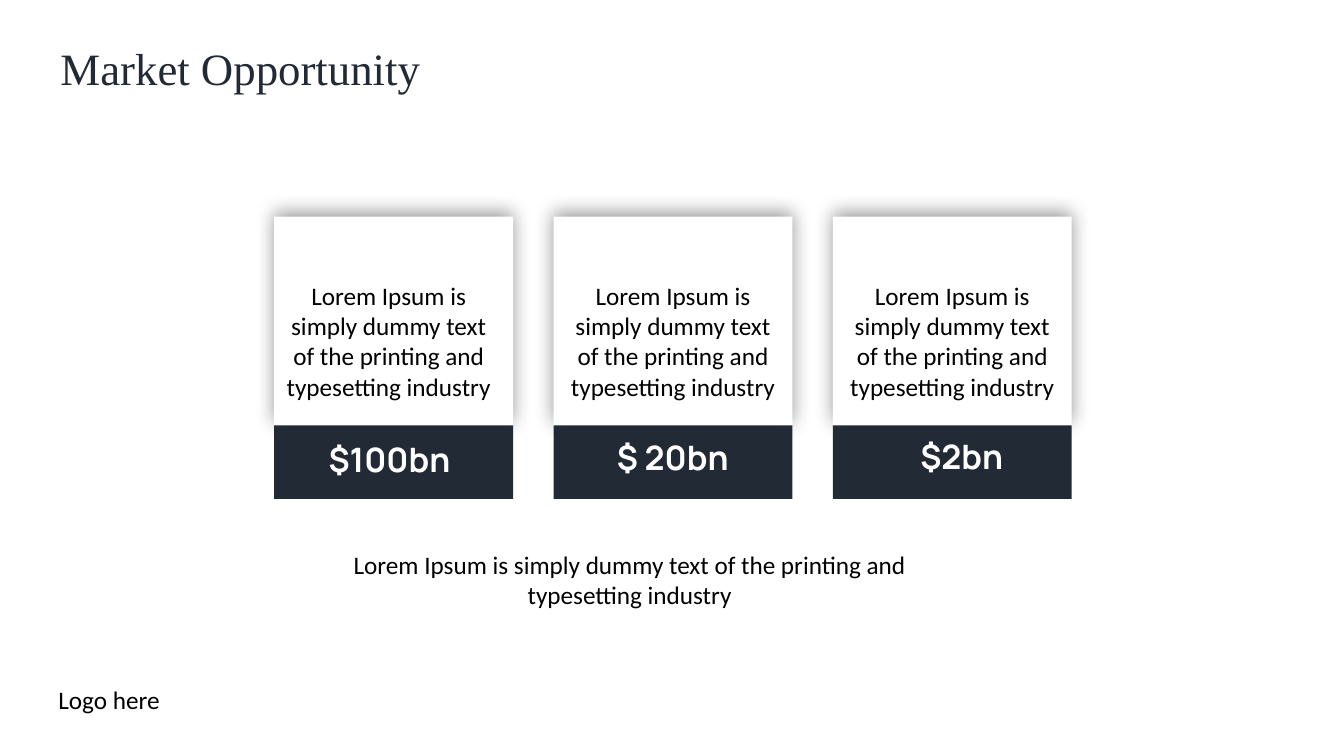
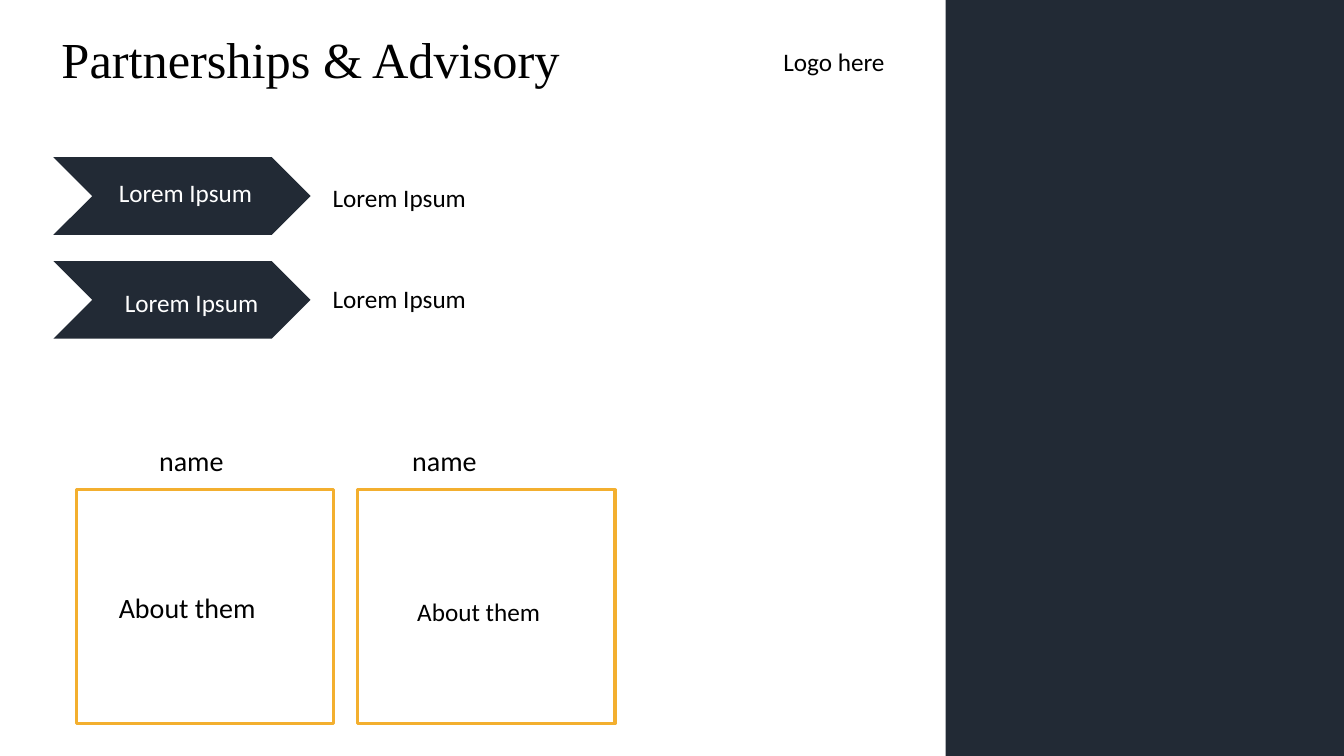
from dataclasses import dataclass

from lxml import etree
from pptx import Presentation
from pptx.dml.color import RGBColor
from pptx.enum import shapes, text
from pptx.oxml import ns
from pptx.util import Inches, Pt

RECT = shapes.MSO_SHAPE.RECTANGLE
CHEVRON = shapes.MSO_SHAPE.CHEVRON
CENTER = text.PP_ALIGN.CENTER


@dataclass(frozen=True)
class Theme:
    navy: str = "222A35"
    gold: str = "F3AF2F"
    white: str = "FFFFFF"
    black: str = "000000"
    title_font: str = "Times New Roman"
    body_font: str = "Calibri"
    figure_font: str = "Manrope"
    body: int = 18
    label: int = 20
    figure: int = 24
    title: int = 32
    big_title: int = 36
    frame: float = 2.25


class Builder:
    """Holds the style, the deck and the current page."""

    def __init__(self, theme):
        self.theme = theme
        self.deck = Presentation()
        self.deck.slide_width = Inches(13.33)
        self.deck.slide_height = Inches(7.5)
        self.page = None

    def style(self, para, size, color, name, bold=False):
        font = para.font
        font.size, font.name, font.bold = Pt(size), name, bold
        font.color.rgb = RGBColor.from_string(color)

    def new_page(self, title, left, top, width, height, size, color):
        self.page = self.deck.slides.add_slide(self.deck.slide_layouts[5])
        box = self.page.shapes.title
        box.left, box.top = Inches(left), Inches(top)
        box.width, box.height = Inches(width), Inches(height)
        frame = box.text_frame
        frame.text = title
        frame.word_wrap = True
        frame.auto_size = text.MSO_AUTO_SIZE.NONE
        frame.vertical_anchor = text.MSO_ANCHOR.TOP
        para = frame.paragraphs[0]
        para.alignment = text.PP_ALIGN.LEFT
        para.line_spacing = 0.9
        self.style(para, size, color, self.theme.title_font)

    def shape(self, kind, left, top, width, height, fill=None, line=None):
        shape = self.page.shapes.add_shape(
            kind, Inches(left), Inches(top), Inches(width), Inches(height))
        if fill:
            shape.fill.solid()
            shape.fill.fore_color.rgb = RGBColor.from_string(fill)
        else:
            shape.fill.background()
        if line:
            shape.line.color.rgb = RGBColor.from_string(line)
            shape.line.width = Pt(self.theme.frame)
        else:
            shape.line.fill.background()
        shape.shadow.inherit = False
        return shape

    def card(self, left, top, width, height):
        """White rectangle with a soft shadow cast upwards."""
        card = self.shape(RECT, left, top, width, height, self.theme.white)
        effects = card._element.spPr.find(ns.qn("a:effectLst"))
        shadow = etree.SubElement(
            effects, ns.qn("a:outerShdw"), blurRad=str(Pt(14)),
            dist=str(Pt(3)), dir=str(270 * 60000), algn="b", rotWithShape="0")
        color = etree.SubElement(shadow, ns.qn("a:srgbClr"), val=self.theme.black)
        etree.SubElement(color, ns.qn("a:alpha"), val="40000")

    def words(self, content, left, top, width, height=0.4, size=None,
              color=None, name=None, bold=False, align=None, wrap=True):
        box = self.page.shapes.add_textbox(
            Inches(left), Inches(top), Inches(width), Inches(height))
        frame = box.text_frame
        frame.word_wrap = wrap
        frame.auto_size = text.MSO_AUTO_SIZE.SHAPE_TO_FIT_TEXT
        frame.text = content
        para = frame.paragraphs[0]
        para.alignment = align
        self.style(para, size or self.theme.body, color or self.theme.black,
                   name or self.theme.body_font, bold)

    def logo_note(self, left, top):
        self.words("Logo here", left, top, 1.22, wrap=False)


def market_page(build):
    theme = build.theme
    build.new_page("Market Opportunity", 0.5, 0.41, 6.75, 1.11,
                   theme.title, theme.navy)
    summary = ("Lorem Ipsum is simply dummy text of the printing "
               "and typesetting industry")

    # Cards: figure, its left and top, width of the text above it
    cards = [("$100bn", 3.16, 4.31, 2.27),
             ("$ 20bn", 6.02, 4.29, 2.37),
             ("$2bn", 9.03, 4.28, 2.37)]
    width, pitch = 2.37, 2.77
    lefts = [2.72 + pitch * i for i in range(len(cards))]
    for left in lefts:
        build.card(left, 2.15, width, 2.08)
    for left, (figure, figure_left, figure_top, text_width) in zip(lefts, cards):
        build.shape(RECT, left, 4.22, width, 0.73, theme.navy)
        build.words(summary, left, 2.73, text_width, 1.31, align=CENTER)
        build.words(figure, figure_left, figure_top, 1.55, 0.5, theme.figure,
                    theme.white, theme.figure_font, bold=True)

    # Closing line and logo note
    build.words(summary, 2.9, 5.4, 6.69, 0.71, align=CENTER)
    build.logo_note(0.48, 6.74)


def partners_page(build):
    theme = build.theme
    build.new_page("Partnerships & Advisory", 0.51, 0.3, 5.28, 0.62,
                   theme.big_title, theme.black)

    # Chevrons: top, label left and top, top of the text beside it
    for top, left, label_top, side_top in [(1.56, 1.08, 1.71, 1.76),
                                           (2.59, 1.14, 2.8, 2.76)]:
        build.shape(CHEVRON, 0.53, top, 2.55, 0.77, theme.navy)
        build.words("Lorem Ipsum", left, label_top, 1.57, color=theme.white)
        build.words("Lorem Ipsum", 3.2, side_top, 2.55)

    # Adviser frames: left, name left, text left and top, text size
    for left, name_left, about_left, about_top, size in [
            (0.76, 1.48, 1.08, 5.81, theme.label),
            (3.55, 3.99, 4.04, 5.87, theme.body)]:
        build.shape(RECT, left, 4.86, 2.55, 2.32, line=theme.gold)
        build.words("name", name_left, 4.35, 2.4, 0.44, theme.label)
        build.words("About them", about_left, about_top, 2.23, size=size)

    # Side panel and logo note
    build.shape(RECT, 9.38, 0, 3.95, 7.5, theme.navy)
    build.logo_note(7.67, 0.41)


def main():
    build = Builder(Theme())
    market_page(build)
    partners_page(build)
    build.deck.save("out.pptx")


if __name__ == "__main__":
    main()
